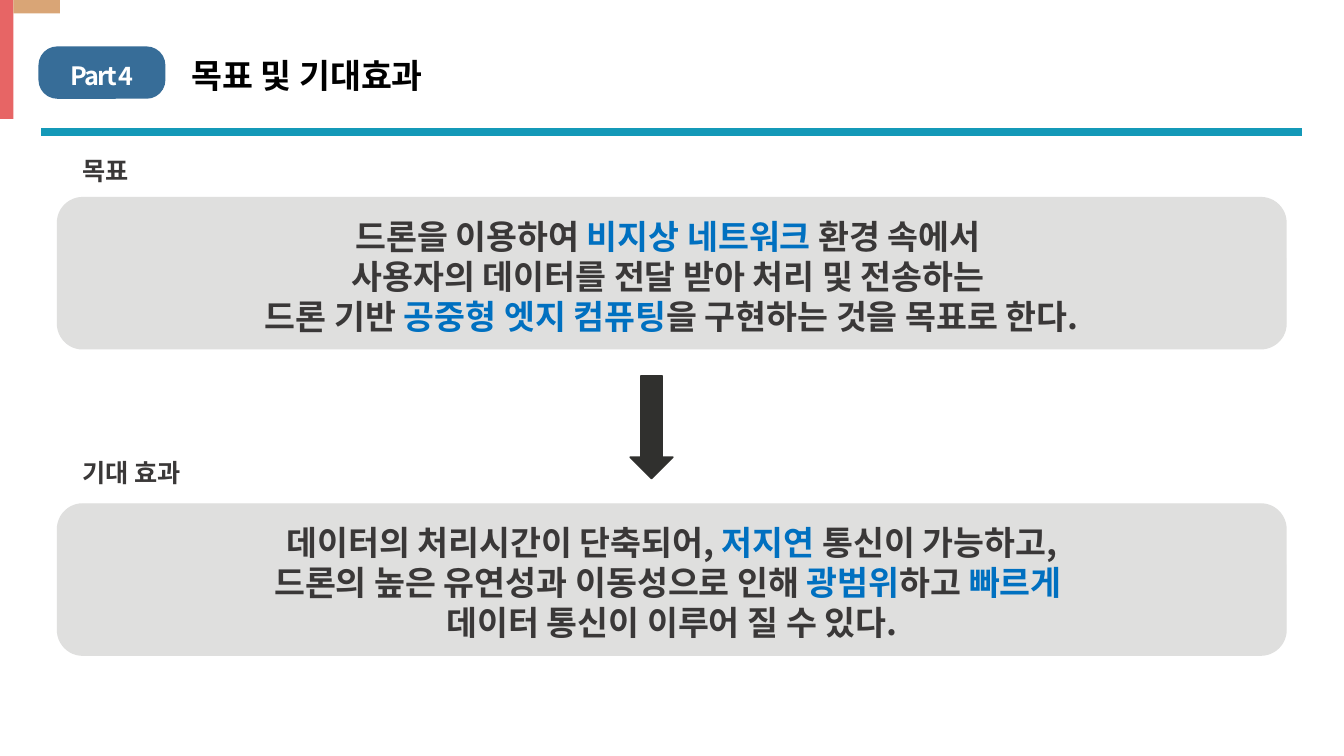
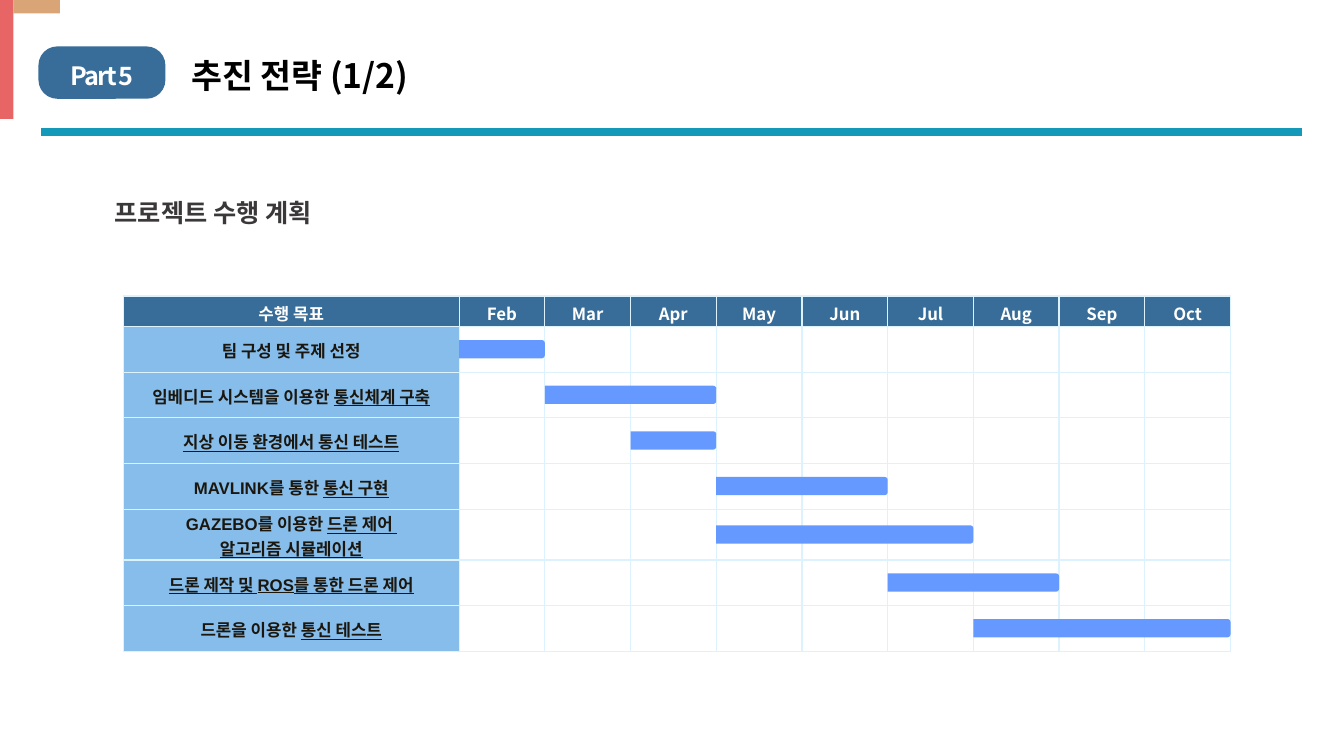
from dataclasses import dataclass
from itertools import accumulate
from lxml import etree
from pptx import Presentation, util as u
from pptx.dml.color import RGBColor
from pptx.enum import shapes, text
from pptx.oxml.ns import qn

PX = 3600  # EMU in one px, 254 px to the inch
KIND = shapes.MSO_SHAPE
MID = text.MSO_ANCHOR.MIDDLE


@dataclass(frozen=True)
class Theme:
    navy: str = "376D98"
    teal: str = "1499B8"
    red: str = "E76565"
    tan: str = "D9A576"
    panel: str = "DFDFDE"
    arrow: str = "30302E"
    bar: str = "6699FF"
    sky: str = "86BDEA"
    grid: str = "DDF2FF"
    white: str = "FFFFFF"
    black: str = "000000"
    ink: str = "3A3838"
    dark: str = "1B170F"
    blue: str = "0070C0"
    font: str = "Noto Sans CJK KR"
    latin: str = "Arial"
    big: int = 24
    mid: int = 18
    small: int = 12
    lead: float = 1.19


T = Theme()


def px(*nums):
    return [u.Emu(n * PX) for n in nums]


def rgb(code):
    return RGBColor.from_string(code)


def inset(box, top):
    """Set the margins of a text frame or a table cell."""
    box.margin_left, box.margin_top, box.margin_right, box.margin_bottom = px(25, top, 25, 0)


def write(frame, lines, size=T.mid, color=T.ink, font=T.font, center=False,
          mark=None, under=False, track=0, lead=T.lead):
    """Write lines; every second part between bars is marked."""
    for i, line in enumerate(lines):
        para = frame.add_paragraph() if i else frame.paragraphs[0]
        para.alignment = text.PP_ALIGN.CENTER if center else text.PP_ALIGN.LEFT
        if lead:
            para.line_spacing = u.Pt(round(size * lead, 1))
        for j, part in enumerate(line.split("|")):
            if not part:
                continue
            run = para.add_run()
            run.text = part
            face = run.font
            face.size, face.bold, face.name = u.Pt(size), True, font
            face.color.rgb = rgb(mark if mark and j % 2 else color)
            if under and j % 2:
                face.underline = True
            props = run._r.get_or_add_rPr()
            etree.SubElement(props, qn("a:ea"), typeface=T.font)
            if track:
                props.set("spc", str(track))


class Deck:
    def __init__(self):
        self.prs = Presentation()
        self.prs.slide_width, self.prs.slide_height = px(3387, 1905)
        self.page = None

    def start(self, part, title):
        """Open a slide with its corner, badge, title and rule."""
        self.page = self.prs.slides.add_slide(self.prs.slide_layouts[6]).shapes
        badge = self.shape(KIND.ROUNDED_RECTANGLE, 97, 117, 320, 132, T.navy)
        badge.adjustments[0] = 0.36
        self.fill(badge, [part], color=T.white, track=-150)
        self.shape(KIND.RECTANGLE, 0, 0, 34, 300, T.red)
        self.shape(KIND.RECTANGLE, 34, 0, 117, 34, T.tan)
        self.rule(104, 333, 3282, T.teal, 6)
        self.label(title, 457, 122, 711, size=T.big, color=T.black)

    def shape(self, kind, x, y, w, h, color, edge=False):
        item = self.page.add_shape(kind, *px(x, y, w, h))
        item.shadow.inherit = False
        item.fill.solid()
        item.fill.fore_color.rgb = rgb(color)
        if edge:
            item.line.color.rgb = rgb(color)
            item.line.width = u.Pt(1)
        else:
            item.line.fill.background()
        return item

    def fill(self, item, lines, **form):
        frame = item.text_frame
        frame.word_wrap, frame.vertical_anchor = True, MID
        inset(frame, 13)
        write(frame, lines, center=True, **form)

    def rule(self, x, y, end, color, width):
        line = self.page.add_connector(shapes.MSO_CONNECTOR.STRAIGHT, *px(x, y, end, y))
        line.line.color.rgb = rgb(color)
        line.line.width = u.Pt(width)
        etree.SubElement(line._element.spPr, qn("a:effectLst"))

    def label(self, words, x, y, w, **form):
        frame = self.page.add_textbox(*px(x, y, w, 102)).text_frame
        frame.word_wrap = True
        inset(frame, 18)
        write(frame, [words], **form)

    def panel(self, y, lines):
        item = self.shape(KIND.ROUNDED_RECTANGLE, 145, y, 3096, 381, T.panel, edge=True)
        self.fill(item, lines, size=T.big, mark=T.blue)

    def cell(self, cell, lines=(), back=None, top=0, **form):
        props = cell._tc.get_or_add_tcPr()
        for side in "LRTB":
            edge = etree.SubElement(props, qn("a:ln" + side), w=str(int(u.Pt(1))))
            paint = etree.SubElement(edge, qn("a:solidFill"))
            etree.SubElement(paint, qn("a:srgbClr"), val=T.grid)
        if back:
            cell.fill.solid()
            cell.fill.fore_color.rgb = rgb(back)
        else:
            cell.fill.background()
        inset(cell, top)
        write(cell.text_frame, lines, size=T.small, center=True, lead=None, **form)

    def gantt(self, x, y, head, tasks):
        """Draw the plan table and a bar over each task row."""
        wide, step, thick = 846, 216, 46
        tall = [77] + [128 if len(task[0]) > 1 else 115 for task in tasks]
        cols = [wide] + [step] * (len(head) - 1)
        grid = self.page.add_table(len(tall), len(cols),
                                   *px(x, y, sum(cols), sum(tall))).table
        for col, size in zip(grid.columns, px(*cols)):
            col.width = size
        for row, size in zip(grid.rows, px(*tall)):
            row.height = size
        for i, name in enumerate(head):
            self.cell(grid.cell(0, i), [name], T.navy, top=13, color=T.white)
        tops = list(accumulate(tall, initial=y))
        for r, (lines, first, span) in enumerate(tasks, 1):
            name = grid.cell(r, 0)
            name.vertical_anchor = MID
            self.cell(name, lines, T.sky, top=5, color=T.dark, under=True,
                      font=T.font if r == 1 else T.latin)
            for c in range(1, len(cols)):
                self.cell(grid.cell(r, c))
            # An upright bar, turned so its round end points right
            size = span * step
            mid = x + wide + first * step + size // 2
            bar = self.shape(KIND.ROUND_2_SAME_RECTANGLE, mid - thick // 2,
                             tops[r] + (tall[r] - size) // 2, thick, size, T.bar)
            bar.rotation = 90


def main():
    deck = Deck()

    # Goal and expected effect
    deck.start("Part 4", "목표 및 기대효과")
    deck.panel(498, ["드론을 이용하여 |비지상 네트워크| 환경 속에서 ",
                     "사용자의 데이터를 전달 받아 처리 및 전송하는 ",
                     "드론 기반 |공중형 엣지 컴퓨팅|을 구현하는 것을 목표로 한다."])
    deck.label("목표", 183, 373, 343)
    deck.panel(1270, ["데이터의 처리시간이 단축되어, |저지연| 통신이 가능하고,",
                      "드론의 높은 유연성과 이동성으로 인해 |광범위|하고 |빠르게 ",
                      "데이터 통신이 이루어 질 수 있다."])
    deck.shape(KIND.DOWN_ARROW, 1588, 947, 108, 259, T.arrow, edge=True)
    deck.label("기대 효과", 183, 1135, 343)

    # Project plan: lines, first month, months
    deck.start("Part 5", "추진 전략 (1/2)")
    deck.label("프로젝트 수행 계획", 264, 480, 886)
    months = "Feb Mar Apr May Jun Jul Aug Sep Oct".split()
    deck.gantt(311, 746, ["수행 목표"] + months, [
        (["팀 구성 및 주제 선정"], 0, 1),
        (["임베디드 시스템을 이용한 |통신체계 구축"], 1, 2),
        (["|지상 이동 환경에서 통신 테스트"], 2, 1),
        (["MAVLINK를 통한 |통신 구현"], 3, 2),
        (["GAZEBO를 이용한 |드론 제어 ", "|알고리즘 시뮬레이션"], 3, 3),
        (["|드론 제작 및 ROS를 통한 드론 제어"], 5, 2),
        (["드론을 이용한 |통신 테스트"], 6, 3),
    ])
    deck.prs.save("out.pptx")


if __name__ == "__main__":
    main()
